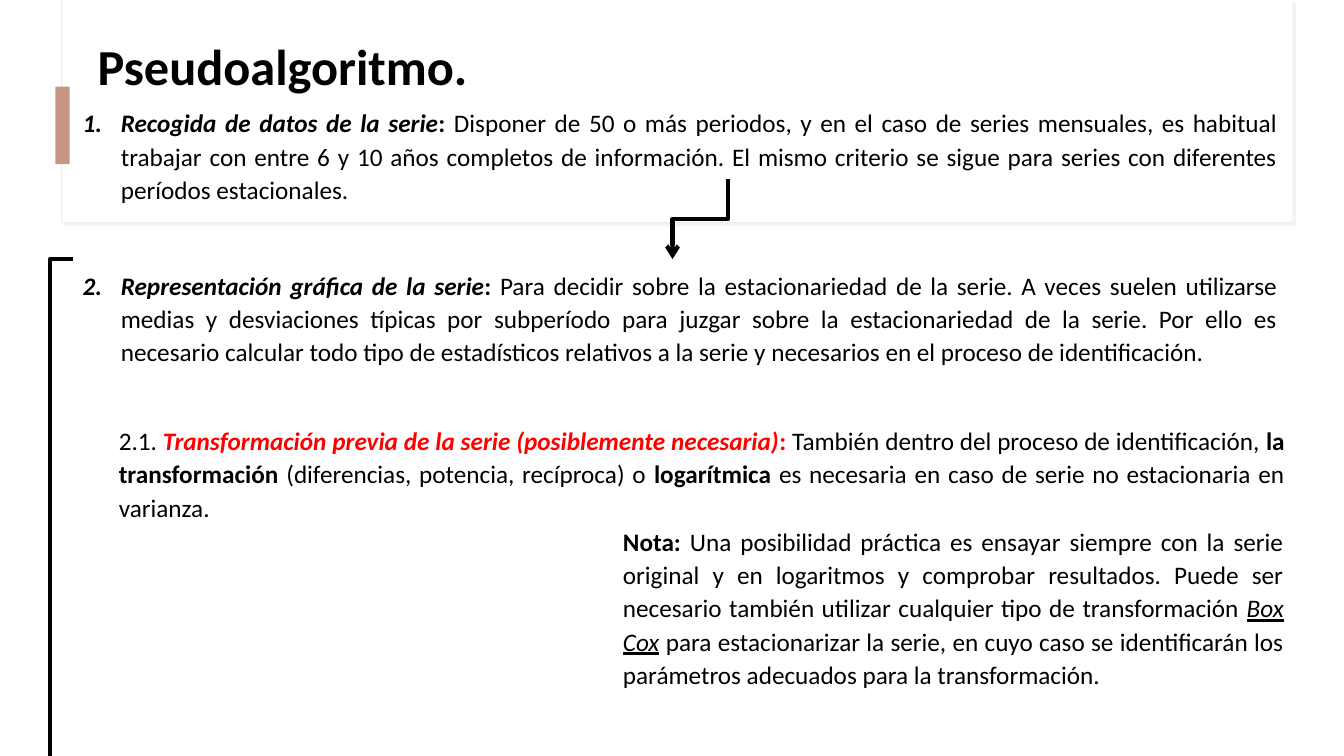
from lxml import etree
from pptx import Presentation
from pptx.dml.color import RGBColor
from pptx.enum.shapes import MSO_CONNECTOR, MSO_SHAPE
from pptx.enum.text import MSO_ANCHOR, PP_ALIGN
from pptx.oxml.ns import qn
from pptx.util import Inches, Pt

RECTANGLE = MSO_SHAPE.RECTANGLE
ELBOW = MSO_CONNECTOR.ELBOW
JUSTIFY = PP_ALIGN.JUSTIFY
LEFT = PP_ALIGN.LEFT
MIDDLE = MSO_ANCHOR.MIDDLE

BLACK = RGBColor(0x00, 0x00, 0x00)
WHITE = RGBColor(0xFF, 0xFF, 0xFF)
RED = RGBColor(0xFF, 0x00, 0x00)
CLAY = RGBColor(0xC7, 0x97, 0x84)
PALE_GREEN = RGBColor(0xE4, 0xF0, 0xEF)

presentation = Presentation()
presentation.slide_width = Inches(13.33)
presentation.slide_height = Inches(7.5)
slide = presentation.slides.add_slide(presentation.slide_layouts[6])


def add_text_frame(left, top, width, height):
    box = slide.shapes.add_textbox(Inches(left), Inches(top), Inches(width), Inches(height))
    box.text_frame.word_wrap = True
    return box.text_frame


def write_paragraph(paragraph, runs, size=18, spacing=1.1, alignment=JUSTIFY):
    """Fill a paragraph from (text, style) pairs; b, i, u and r stand for bold, italic, underline, red."""
    paragraph.alignment = alignment
    paragraph.line_spacing = spacing
    paragraph.font.name = "Calibri"
    paragraph.font.size = Pt(size)
    for text, style in runs:
        run = paragraph.add_run()
        run.text = text
        run.font.name = "Calibri"
        run.font.size = Pt(size)
        run.font.bold = "b" in style
        run.font.italic = "i" in style
        run.font.underline = "u" in style
        run.font.color.rgb = RED if "r" in style else BLACK


# Header panel and side accent
panels = []
for left, top, width, height, fill in [
    (0.61, 0, 12.21, 2.21, WHITE),
    (0.62, 0, 12.2, 2.2, WHITE),
    (0.55, 0.86, 0.14, 0.77, CLAY),
]:
    panel = slide.shapes.add_shape(RECTANGLE, Inches(left), Inches(top), Inches(width), Inches(height))
    panel.shadow.inherit = False
    panel.fill.solid()
    panel.fill.fore_color.rgb = fill
    panel.line.fill.background()
    panels.append(panel)

header = panels[0]
header.line.color.rgb = PALE_GREEN
header.line.width = Pt(0.75)
effects = header._element.spPr.find(qn("a:effectLst"))
shadow = etree.SubElement(effects, qn("a:outerShdw"), dist=str(Pt(3)), dir=str(45 * 60000), rotWithShape="0")
shadow_color = etree.SubElement(shadow, qn("a:srgbClr"), val="D9D9D9")
etree.SubElement(shadow_color, qn("a:alpha"), val="30000")

# Title
title = add_text_frame(0.87, 0.04, 4.97, 1.29)
title.vertical_anchor = MIDDLE
write_paragraph(title.paragraphs[0], [("Pseudoalgoritmo.", "b")], size=36, spacing=0.9, alignment=LEFT)

# Numbered steps
steps = [
    [
        ("Recogida de datos de la serie", "bi"),
        (":", "b"),
        (" Disponer de 50 o más periodos, y en el caso de series mensuales, es habitual trabajar con "
         "entre 6 y 10 años completos de información. El mismo criterio se sigue para series con "
         "diferentes períodos estacionales.", ""),
    ],
    [
        ("Representación gráfica de la serie", "bi"),
        (":", "b"),
        (" Para decidir sobre la estacionariedad de la serie. A veces suelen utilizarse medias y "
         "desviaciones típicas por subperíodo para juzgar sobre la estacionariedad de la serie. Por "
         "ello es necesario calcular todo tipo de estadísticos relativos a la serie y necesarios en "
         "el proceso de identificación.", ""),
    ],
]
steps_frame = add_text_frame(0.72, 0.99, 12.05, 3.15)
for index, runs in enumerate(steps):
    paragraph = steps_frame.add_paragraph() if index else steps_frame.paragraphs[0]
    properties = paragraph._p.get_or_add_pPr()
    properties.set("marL", str(Inches(0.38)))
    properties.set("indent", str(-Inches(0.38)))
    bullet_color = etree.SubElement(properties, qn("a:buClr"))
    etree.SubElement(bullet_color, qn("a:srgbClr"), val="000000")
    etree.SubElement(properties, qn("a:buAutoNum"), type="arabicPeriod")
    write_paragraph(paragraph, runs)
    if index:
        paragraph.space_before = Pt(44.6)

# Transformation substep and note
transformation = add_text_frame(1.08, 4.14, 11.76, 1.19)
write_paragraph(transformation.paragraphs[0], [
    ("2.1. ", ""),
    ("Transformación previa de la serie (posiblemente necesaria)", "bir"),
    (":", "br"),
    (" También dentro del proceso de identificación, ", ""),
    ("la transformación", "b"),
    (" (diferencias, potencia, recíproca) o ", ""),
    ("logarítmica", "b"),
    (" es necesaria en caso de serie no estacionaria en varianza.", ""),
])

note = add_text_frame(6.08, 5.14, 6.75, 2.08)
write_paragraph(note.paragraphs[0], [
    ("Nota:", "b"),
    (" Una posibilidad práctica es ensayar siempre con la serie original y en logaritmos y comprobar "
     "resultados. Puede ser necesario también utilizar cualquier tipo de transformación ", ""),
    ("Box Cox", "iu"),
    (" para estacionarizar la serie, en cuyo caso se identificarán los parámetros adecuados para la "
     "transformación.", ""),
])

# Elbow arrows: between the steps (turned a quarter), and down the left edge
for begin_x, begin_y, end_x, end_y, preset, degrees in [
    (6.55, 1.9, 7.34, 2.45, "bentConnector3", 90),
    (0.72, 2.57, 0.5, 8.16, "bentConnector2", 0),
]:
    arrow = slide.shapes.add_connector(ELBOW, Inches(begin_x), Inches(begin_y), Inches(end_x), Inches(end_y))
    arrow.line.color.rgb = BLACK
    arrow.line.width = Pt(3)
    shape_properties = arrow._element.spPr
    shape_properties.find(qn("a:prstGeom")).set("prst", preset)
    if degrees:
        shape_properties.find(qn("a:xfrm")).set("rot", str(degrees * 60000))
    etree.SubElement(shape_properties.find(qn("a:ln")), qn("a:tailEnd"), type="arrow")
    etree.SubElement(shape_properties, qn("a:effectLst"))

presentation.save("out.pptx")
